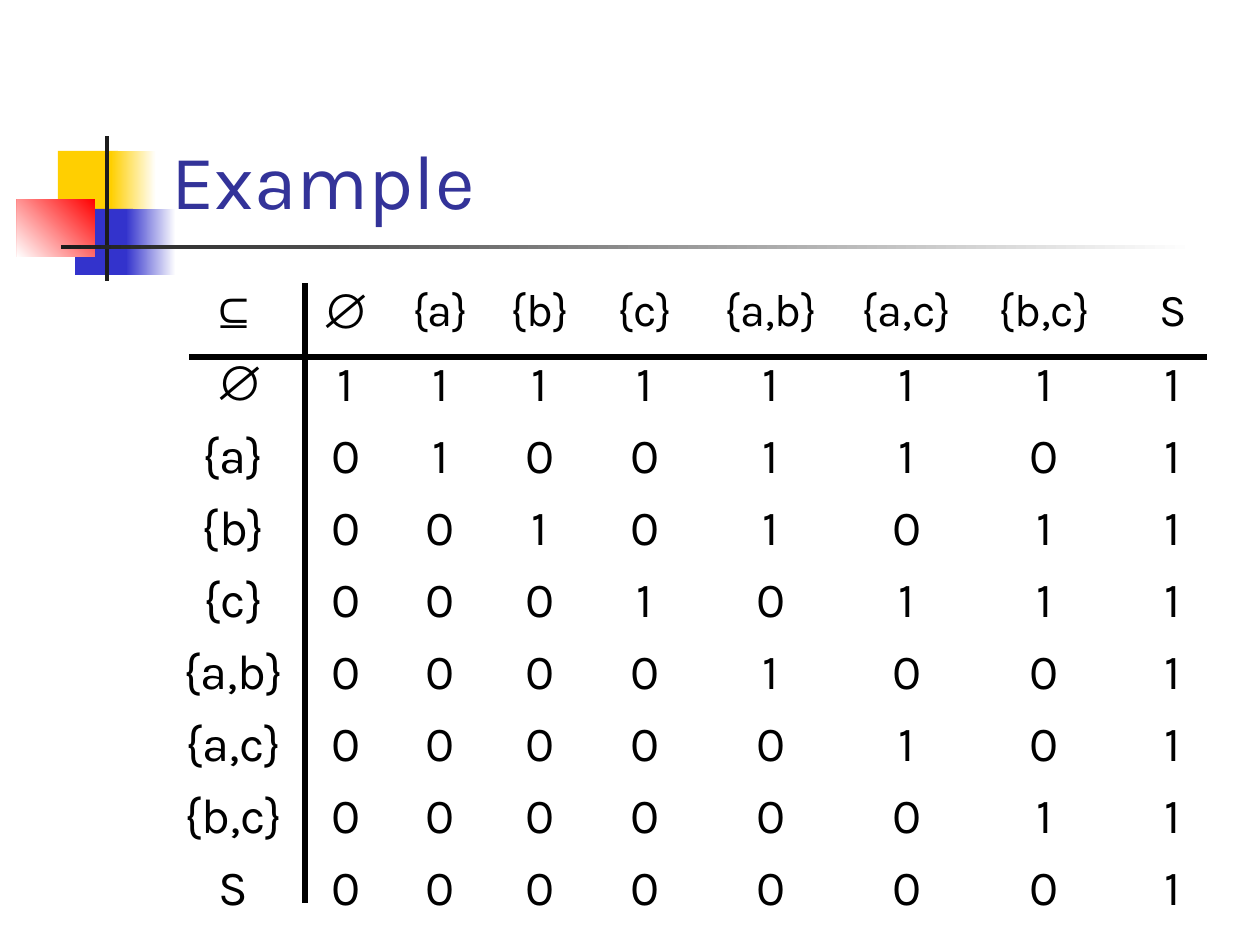
import pptx
import pptx.util
import pptx.dml.color
import pptx.enum.shapes
import pptx.enum.text
import pptx.oxml

# Content
TITLE = "Example"
HEADER = ["⊆", "∅", "{a}", "{b}", "{c}", "{a,b}", "{a,c}", "{b,c}", "S"]
RELATION = [
    (" ∅", "11111111"),
    ("{a}", "01001101"),
    ("{b}", "00101011"),
    ("{c}", "00010111"),
    ("{a,b}", "00001001"),
    ("{a,c}", "00000101"),
    ("{b,c}", "00000011"),
    ("S", "00000001"),
]

THEME = {
    "font": "Karla", "symbol_font": "Arial",
    "title_size": 44, "header_size": 26, "cell_size": 28, "rule_width": 3,
    "title": "333399", "text": "000000", "white": "FFFFFF", "yellow": "FFCF01",
    "blue": "3333CC", "red": "FF0000", "dark": "1C1C1C",
}

# Layout in px, 126 to the inch
SCALE = 914400 / 126
SLIDE = (1260, 945)
TITLE_BOX = (159, 29, 1074, 202)
TABLE_AT = (163, 278)
COLUMNS = [141, 84, 105, 94, 116, 136, 136, 139, 118]
ROW_HEIGHT = 72
RULES = [(305, 903, 305, 283), (189, 357, 1207, 357)]
# box, colours, gradient angle (counter-clockwise)
ORNAMENTS = [
    ((58, 151, 60, 66), ["yellow"], None),
    ((111, 151, 45, 66), ["white", "yellow"], 180),
    ((75, 209, 58, 66), ["blue"], None),
    ((126, 209, 50, 66), ["white", "blue"], 180),
    ((17, 199, 78, 58), ["red", "white"], 225),
    ((105, 136, 4, 145), ["dark"], None),
    ((61, 245, 1134, 4), ["white", "dark"], 180),
]


def px(*lengths):
    return [pptx.util.Emu(round(length * SCALE)) for length in lengths]


def color(name):
    return pptx.dml.color.RGBColor.from_string(THEME[name])


def style(para, font, size, color_name):
    for span in para.runs:
        span.font.name = font
        span.font.size = pptx.util.Pt(size)
        span.font.color.rgb = color(color_name)


def add_ornament(page, box, colors, angle):
    shape = page.shapes.add_shape(
        pptx.enum.shapes.MSO_SHAPE.RECTANGLE, *px(*box))
    shape.shadow.inherit = False
    shape.line.fill.background()
    if angle is None:
        shape.fill.solid()
        shape.fill.fore_color.rgb = color(colors[0])
    else:
        shape.fill.gradient()
        shape.fill.gradient_angle = angle
        for stop, name in zip(shape.fill.gradient_stops, colors):
            stop.color.rgb = color(name)


def add_title(page):
    title = page.shapes.title
    title.left, title.top, title.width, title.height = px(*TITLE_BOX)
    frame = title.text_frame
    frame.text = TITLE
    frame.auto_size = pptx.enum.text.MSO_AUTO_SIZE.NONE
    frame.vertical_anchor = pptx.enum.text.MSO_ANCHOR.BOTTOM
    frame.paragraphs[0].alignment = pptx.enum.text.PP_ALIGN.LEFT
    style(frame.paragraphs[0], THEME["font"], THEME["title_size"], "title")


def fill_cell(cell, text, in_header):
    symbol = text.strip() in ("⊆", "∅")
    size = THEME["header_size" if in_header and not symbol else "cell_size"]
    font = THEME["symbol_font" if symbol else "font"]
    cell.fill.background()
    para = cell.text_frame.paragraphs[0]
    para.text = text
    para.alignment = pptx.enum.text.PP_ALIGN.CENTER
    para.space_before = pptx.util.Pt(size / 4)
    style(para, font, size, "text")


def add_relation_table(page):
    rows = [HEADER] + [[label, *bits] for label, bits in RELATION]
    size = (sum(COLUMNS), ROW_HEIGHT * len(rows))
    table = page.shapes.add_table(
        len(rows), len(COLUMNS), *px(*TABLE_AT, *size)).table
    table.first_row = table.horz_banding = False
    for column, width in zip(table.columns, px(*COLUMNS)):
        column.width = width
    for r, row in enumerate(rows):
        table.rows[r].height = px(ROW_HEIGHT)[0]
        for c, text in enumerate(row):
            fill_cell(table.cell(r, c), text, r == 0)


def add_rule(page, ends):
    rule = page.shapes.add_connector(
        pptx.enum.shapes.MSO_CONNECTOR.STRAIGHT, *px(*ends))
    rule.line.color.rgb = color("text")
    rule.line.width = pptx.util.Pt(THEME["rule_width"])
    rule.element.spPr.append(pptx.oxml.parse_xml(
        '<a:effectLst xmlns:a='
        '"http://schemas.openxmlformats.org/drawingml/2006/main"/>'))


def main():
    deck = pptx.Presentation()
    deck.slide_width, deck.slide_height = px(*SLIDE)
    page = deck.slides.add_slide(deck.slide_layouts[5])  # title only
    for ornament in ORNAMENTS:
        add_ornament(page, *ornament)
    add_title(page)
    add_relation_table(page)
    for ends in RULES:
        add_rule(page, ends)
    deck.save("out.pptx")


if __name__ == "__main__":
    main()
